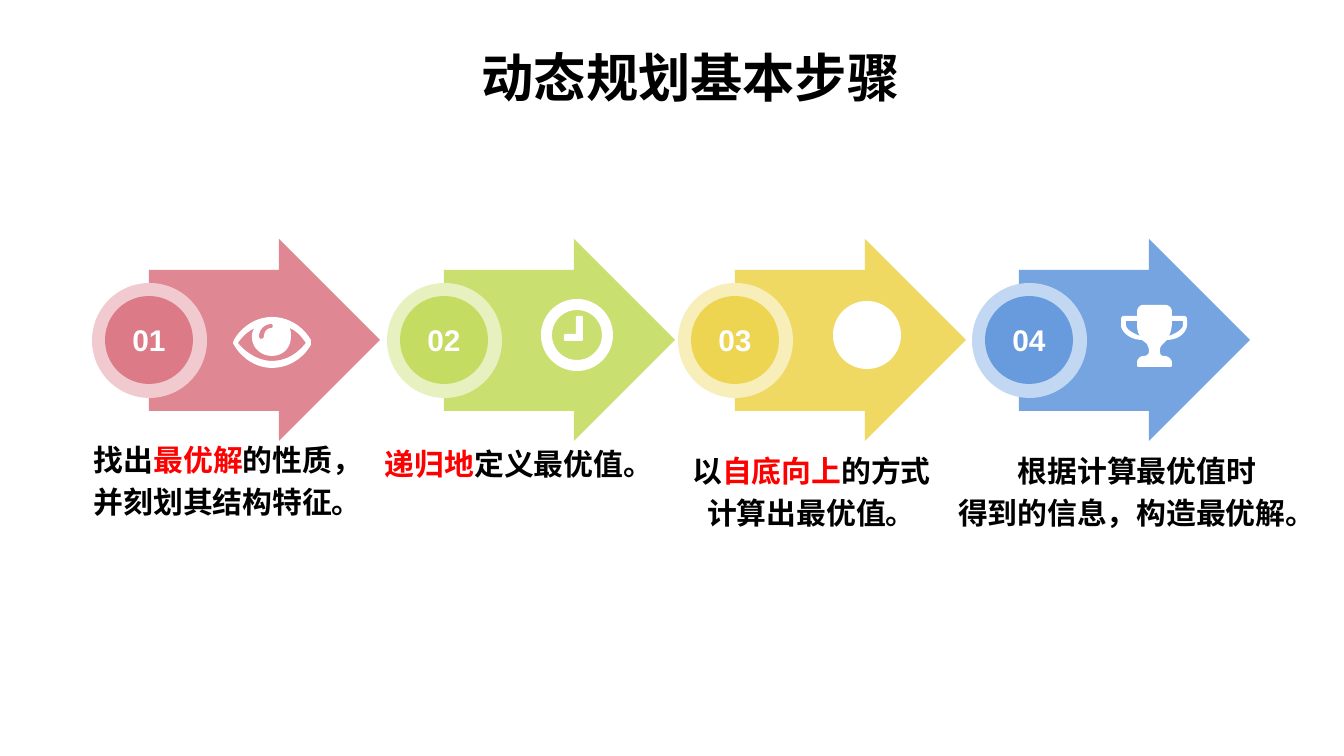
from math import cos, pi, sin

from lxml.etree import SubElement
from pptx import Presentation
from pptx.dml.color import RGBColor
from pptx.enum.shapes import MSO_SHAPE as Kind
from pptx.enum.text import MSO_ANCHOR as Anchor, PP_ALIGN as Align
from pptx.oxml.ns import qn
from pptx.util import Pt

PX = 914400 / 134.4
HAN, RED = "Noto Sans CJK SC", "FF0000"
BODY = {"size": Pt(16), "name": HAN, "bold": True}
HEAD = {"size": Pt(28), "name": "Times New Roman", "bold": True}
MARK = {"size": Pt(16), "name": "Arial", "bold": True}

ARROW = [[(0, 31), (130, 31), (130, 0), (231, 101), (130, 202), (130, 172), (0, 172)]]


def px(n):
    """Turn pixels into EMU."""
    return round(n * PX)


def hue(code):
    """Turn a hex string into a colour."""
    return RGBColor.from_string(code)


def disc(mid, r):
    """Return a round outline with centre (mid, mid)."""
    turns = [2 * pi * i / 60 for i in range(60)]
    return [(mid + r * cos(t), mid + r * sin(t)) for t in turns]


def trace(marks):
    """Flatten an outline of points and six-number Bezier curves."""
    dots = [marks[0]]
    for mark in marks[1:]:
        if len(mark) == 2:
            dots.append(mark)
            continue
        a, b, c, d = dots[-1], mark[:2], mark[2:4], mark[4:]
        for i in range(1, 11):
            t = i / 10
            s = 1 - t
            dots.append(tuple(
                s**3 * a[k] + 3 * s * s * t * b[k] + 3 * s * t * t * c[k] + t**3 * d[k]
                for k in (0, 1)))
    return dots


EYE = [
    [(78, 28), (70, 42, 55, 51, 39, 51), (24, 51, 9, 42, 1, 28), (0, 26), (1, 23),
     (9, 9, 24, 0, 39, 0), (55, 0, 70, 9, 78, 23)],
    [(56, 11), (58, 12, 58, 16, 58, 20), (58, 31, 50, 39, 39, 39),
     (28, 39, 19, 31, 19, 20), (19, 16, 20, 12, 23, 11), (16, 13, 9, 20, 5, 26),
     (13, 36, 26, 44, 39, 44), (54, 44, 65, 36, 73, 26), (69, 20, 63, 13, 56, 11)],
    [(39, 7), (32, 7, 26, 12, 26, 20), (26, 20, 27, 22, 28, 22), (30, 22, 31, 20, 31, 20),
     (31, 15, 34, 11, 39, 11), (40, 11, 40, 7, 39, 7)],
]
CLOCK = [disc(36, 36), disc(36, 25),
         [(35, 18), (36, 17), (41, 17), (42, 18), (42, 41), (41, 42), (24, 42), (23, 41),
          (23, 36), (24, 35), (35, 35)]]
DOT = [disc(34, 34)]
CUP = [
    [(66, 20), (66, 27, 58, 35, 46, 35), (42, 39), (39, 42, 39, 43, 39, 46),
     (39, 48, 39, 51, 43, 51), (47, 51, 51, 54, 51, 58), (51, 61), (50, 62), (17, 62),
     (16, 61), (16, 58), (16, 54, 19, 51, 23, 51), (27, 51, 28, 48, 28, 46),
     (28, 43, 27, 42, 26, 39), (21, 35), (9, 35, 0, 27, 0, 20), (0, 15),
     (0, 12, 1, 11, 4, 11), (16, 11), (16, 7), (16, 3, 19, 0, 22, 0), (44, 0),
     (48, 0, 51, 3, 51, 7), (51, 11), (62, 11), (65, 11, 66, 12, 66, 15)],
    [(16, 16), (5, 16), (5, 20), (5, 24, 11, 28, 19, 31), (16, 27, 16, 22, 16, 16)],
    [(62, 16), (51, 16), (51, 22, 50, 27, 48, 31), (56, 28, 62, 24, 62, 20)],
]

STEPS = [
    dict(x=149, ring=92, tone="DC7B87", pale="F1CACF", icon=(EYE, 233, 317),
         box=(93, 441, 270, 79), anchor=Anchor.MIDDLE,
         lines=[[("找出",), ("最优解", RED), ("的性质，",)], [("并刻划其结构特征。",)]]),
    dict(x=444, ring=387, tone="C4DC61", pale="E7F1C0", icon=(CLOCK, 541, 299),
         box=(384, 446, 270, 36), anchor=Anchor.MIDDLE,
         lines=[[("递归地", RED), ("定义最优值。",)]]),
    dict(x=735, ring=678, tone="EED551", pale="F8EEB9", icon=(DOT, 833, 301),
         box=(691, 452, 241, 79), anchor=Anchor.TOP,
         lines=[[("以",), ("自底向上", RED), ("的方式",)], [("计算出最优值。",)]]),
    dict(x=1019, ring=972, tone="679BDE", pale="C2D7F2", icon=(CUP, 1121, 305),
         box=(957, 452, 360, 79), anchor=Anchor.TOP,
         lines=[[("根据计算最优值时",)], [("得到的信息，构造最优解。",)]]),
]


def paint(shape, code):
    """Give a shape a flat fill without line or shadow."""
    shape.shadow.inherit = False
    shape.fill.solid()
    shape.fill.fore_color.rgb = hue(code)
    shape.line.fill.background()


def draw(slide, shapes, x, y, code):
    """Draw outlines as one freeform placed at x, y."""
    first, *rest = [[(a * 100, b * 100) for a, b in trace(marks)] for marks in shapes]
    pen = slide.shapes.build_freeform(*first[0], scale=PX / 100)
    pen.add_line_segments(first[1:], close=True)
    for dots in rest:
        pen.move_to(*dots[0])
        pen.add_line_segments(dots[1:], close=True)
    form = pen.convert_to_shape(px(x), px(y))
    paint(form, code)
    return form


def write(line, text, style, code="000000"):
    """Add one styled run to a paragraph."""
    run = line.add_run()
    run.text = text
    for key, value in style.items():
        setattr(run.font, key, value)
    run.font.color.rgb = hue(code)
    SubElement(run.font._element, qn("a:ea"), typeface=HAN)


def add_disc(slide, x, y, size, code):
    """Add a flat circle."""
    shape = slide.shapes.add_shape(Kind.OVAL, px(x), px(y), px(size), px(size))
    paint(shape, code)
    return shape


def add_title(slide, box, text):
    """Place the centred heading in its box."""
    frame = slide.shapes.add_textbox(*map(px, box)).text_frame
    frame.word_wrap = True
    frame.paragraphs[0].alignment = Align.CENTER
    write(frame.paragraphs[0], text, HEAD)


def add_note(slide, box, anchor, lines):
    """Place the caption lines in their box."""
    frame = slide.shapes.add_textbox(*map(px, box)).text_frame
    frame.word_wrap = False
    frame.vertical_anchor = anchor
    for side in ("left", "right", "top", "bottom"):
        setattr(frame, f"margin_{side}", 0)
    for i, runs in enumerate(lines):
        line = frame.add_paragraph() if i else frame.paragraphs[0]
        line.alignment = Align.CENTER
        line.line_spacing = Pt(19.3)
        line.space_before = Pt(3.2 if i else 0)
        for text, *code in runs:
            write(line, text, BODY, *code)


def add_step(slide, top, num, step):
    """Place one arrow with its number, icon and caption."""
    arrow = draw(slide, ARROW, step["x"], top, step["tone"])
    tint = arrow.fill._xPr.find(".//" + qn("a:srgbClr"))
    SubElement(tint, qn("a:alpha"), val="90000")
    add_disc(slide, step["ring"], top + 44, 115, step["pale"])
    core = add_disc(slide, step["ring"] + 13, top + 57, 88, step["tone"])
    frame = core.text_frame
    frame.vertical_anchor = Anchor.MIDDLE
    frame.paragraphs[0].alignment = Align.CENTER
    write(frame.paragraphs[0], f"{num:02d}", MARK, "FFFFFF")
    draw(slide, *step["icon"], "FFFFFF")
    add_note(slide, step["box"], step["anchor"], step["lines"])


def main():
    """Build the slide and save it."""
    deck = Presentation()
    deck.slide_width, deck.slide_height = px(1344), px(756)
    slide = deck.slides.add_slide(deck.slide_layouts[6])
    for num, step in enumerate(STEPS, 1):
        add_step(slide, 239, num, step)
    add_title(slide, (294, 39, 793, 77), "动态规划基本步骤")
    deck.save("out.pptx")


if __name__ == "__main__":
    main()
